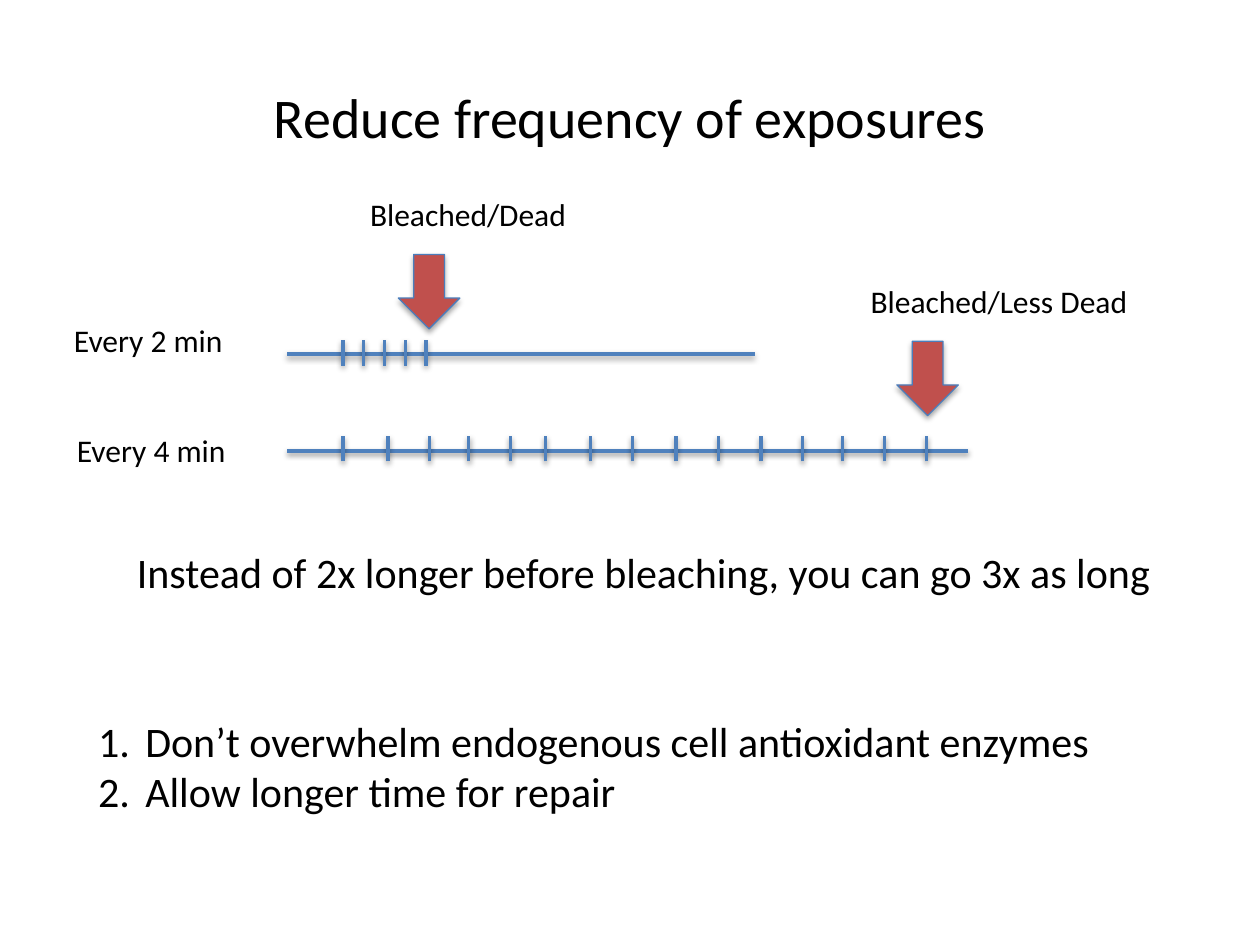
from dataclasses import dataclass

from lxml import etree
from pptx import Presentation
from pptx.dml.color import RGBColor
from pptx.enum.shapes import MSO_CONNECTOR, MSO_SHAPE
from pptx.enum.text import MSO_ANCHOR, MSO_AUTO_SIZE, PP_ALIGN
from pptx.oxml.ns import qn
from pptx.util import Cm, Pt

STRAIGHT = MSO_CONNECTOR.STRAIGHT
DOWN_ARROW = MSO_SHAPE.DOWN_ARROW
MIDDLE = MSO_ANCHOR.MIDDLE
FIT_SHAPE = MSO_AUTO_SIZE.SHAPE_TO_FIT_TEXT
CENTER = PP_ALIGN.CENTER

BLACK = RGBColor(0x00, 0x00, 0x00)
TIMELINE_BLUE = RGBColor(0x4F, 0x81, 0xBD)
ARROW_EDGE = RGBColor(0x4B, 0x7E, 0xBC)
ARROW_RED = RGBColor(0xC0, 0x50, 0x4D)

FONT = "Calibri"
AXIS_START = 5.79
FIRST_EXPOSURE = 6.91
ARROW_WIDTH, ARROW_HEIGHT = 1.24, 1.5


@dataclass
class Timeline:
    """One exposure schedule; lengths in centimetres."""
    end: float
    y: float
    tick_top: float
    tick_bottom: float
    exposures: list[float]


@dataclass
class Marker:
    """Arrow at the moment of bleaching; lengths in centimetres."""
    left: float
    top: float


@dataclass
class Label:
    """Unwrapped text; lengths in centimetres, size in points."""
    left: float
    top: float
    width: float
    height: float
    size: int
    lines: list[str]
    numbered: bool = False


TIMELINES = [
    Timeline(15.21, 7.14, 6.86, 7.37,
             [FIRST_EXPOSURE + 0.42 * i for i in range(5)]),
    Timeline(19.51, 9.09, 8.79, 9.3,
             [FIRST_EXPOSURE, 7.82, 8.66, 9.45, 10.29, 11, 11.9, 12.75,
              13.63, 14.48, 15.34, 16.18, 16.98, 17.83, 18.68]),
]
MARKERS = [Marker(8.03, 5.13), Marker(18.08, 6.88)]
LABELS = [
    Label(7.21, 3.81, 4.5, 1.02, 18, ["Bleached/Dead"]),
    Label(17.3, 5.56, 5.74, 1.02, 18, ["Bleached/Less Dead"]),
    Label(1.24, 6.35, 3.56, 1.02, 18, ["Every 2 min"]),
    Label(1.3, 8.56, 3.56, 1.02, 18, ["Every 4 min"]),
    Label(2.51, 10.9, 21.31, 1.27, 24,
          ["Instead of 2x longer before bleaching, you can go 3x as long"]),
    Label(1.73, 14.3, 20.7, 2.31, 24,
          ["Don’t overwhelm endogenous cell antioxidant enzymes",
           "Allow longer time for repair"], numbered=True),
]


def add_shadow(properties, distance: float, opacity: int) -> None:
    """Cast a soft black shadow straight down; distance in points."""
    effects = etree.SubElement(properties, qn("a:effectLst"))
    shadow = etree.SubElement(
        effects, qn("a:outerShdw"), blurRad=str(Pt(3.15)),
        dist=str(Pt(distance)), dir="5400000", rotWithShape="0")
    color = etree.SubElement(shadow, qn("a:srgbClr"), val=str(BLACK))
    etree.SubElement(color, qn("a:alpha"), val=str(opacity * 1000))


def add_line(slide, x1: float, y1: float, x2: float, y2: float) -> None:
    line = slide.shapes.add_connector(STRAIGHT, Cm(x1), Cm(y1), Cm(x2), Cm(y2))
    line.line.color.rgb = TIMELINE_BLUE
    line.line.width = Pt(2)
    add_shadow(line.element.spPr, 1.57, 38)


def add_timeline(slide, timeline: Timeline) -> None:
    add_line(slide, AXIS_START, timeline.y, timeline.end, timeline.y)
    for x in timeline.exposures:
        add_line(slide, x, timeline.tick_bottom, x, timeline.tick_top)


def add_marker(slide, marker: Marker) -> None:
    arrow = slide.shapes.add_shape(DOWN_ARROW, Cm(marker.left), Cm(marker.top),
                                   Cm(ARROW_WIDTH), Cm(ARROW_HEIGHT))
    arrow.fill.solid()
    arrow.fill.fore_color.rgb = ARROW_RED
    arrow.line.color.rgb = ARROW_EDGE
    arrow.line.width = Pt(0.75)
    add_shadow(arrow.element.spPr, 1.81, 35)


def add_run(paragraph, text: str, size: int) -> None:
    run = paragraph.add_run()
    run.text = text
    run.font.name = FONT
    run.font.size = Pt(size)
    run.font.color.rgb = BLACK


def number_paragraph(paragraph) -> None:
    properties = paragraph._p.get_or_add_pPr()
    properties.set("marL", str(Cm(0.95)))
    properties.set("indent", str(-Cm(0.95)))
    etree.SubElement(properties, qn("a:buFont"), typeface="+mj-lt")
    etree.SubElement(properties, qn("a:buAutoNum"), type="arabicPeriod")


def add_label(slide, label: Label) -> None:
    box = slide.shapes.add_textbox(Cm(label.left), Cm(label.top),
                                   Cm(label.width), Cm(label.height))
    frame = box.text_frame
    frame.word_wrap = False
    frame.auto_size = FIT_SHAPE
    for i, line in enumerate(label.lines):
        paragraph = frame.add_paragraph() if i else frame.paragraphs[0]
        if label.numbered:
            number_paragraph(paragraph)
        add_run(paragraph, line, label.size)


def set_title(slide, text: str) -> None:
    title = slide.shapes.title
    title.left, title.top = Cm(1.27), Cm(0.76)
    title.width, title.height = Cm(22.86), Cm(3.18)
    title.text_frame.vertical_anchor = MIDDLE
    paragraph = title.text_frame.paragraphs[0]
    paragraph.alignment = CENTER
    add_run(paragraph, text, 32)


def main() -> None:
    presentation = Presentation()
    presentation.slide_width, presentation.slide_height = Cm(25.4), Cm(19.05)
    slide = presentation.slides.add_slide(presentation.slide_layouts[5])
    set_title(slide, "Reduce frequency of exposures")
    for timeline in TIMELINES:
        add_timeline(slide, timeline)
    for marker in MARKERS:
        add_marker(slide, marker)
    for label in LABELS:
        add_label(slide, label)
    presentation.save("out.pptx")


if __name__ == "__main__":
    main()
